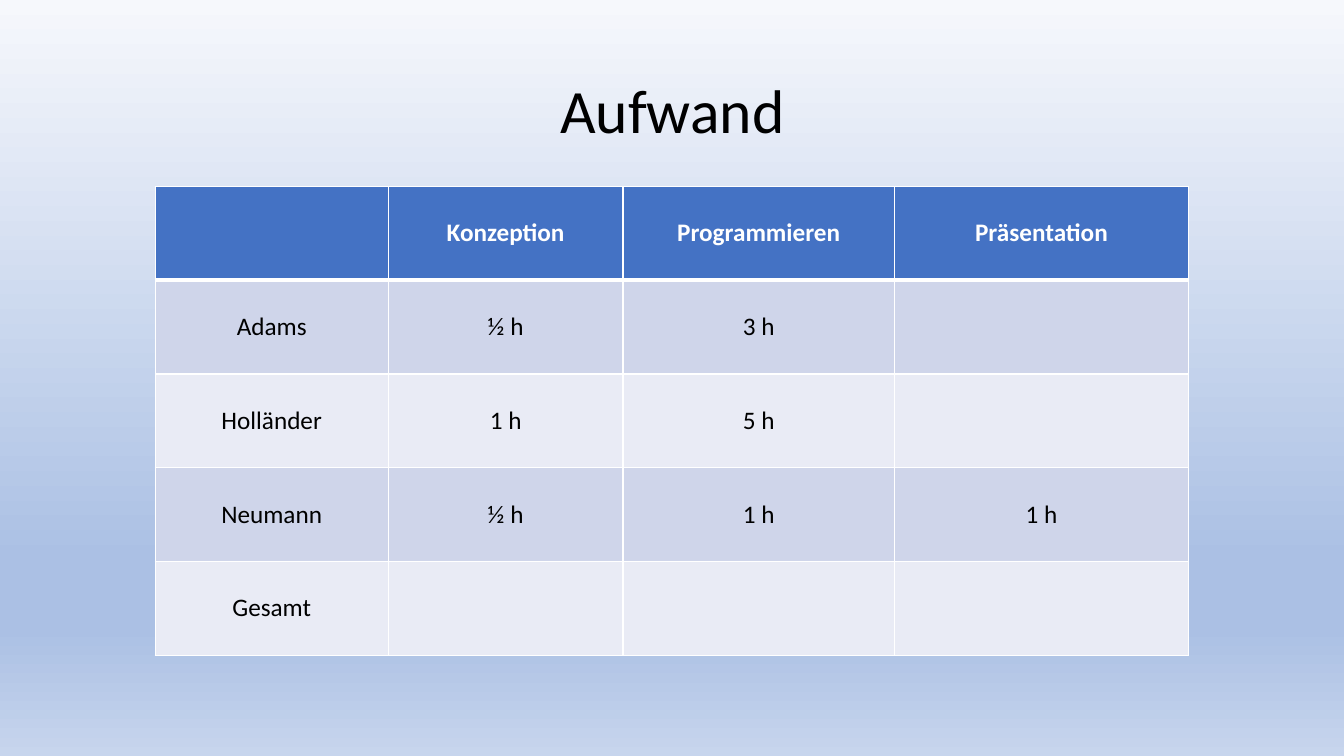
"""Build the slide that tabulates effort per person and task."""
from dataclasses import dataclass

from lxml.etree import SubElement
from pptx import Presentation
from pptx.dml.color import RGBColor
from pptx.enum.text import MSO_ANCHOR, PP_ALIGN
from pptx.oxml.ns import qn
from pptx.util import Inches, Pt

TITLE = "Aufwand"
ROWS = [
    ("", "Konzeption", "Programmieren", "Präsentation"),
    ("Adams", "½ h", "3 h", ""),
    ("Holländer", "1 h", "5 h", ""),
    ("Neumann", "½ h", "1 h", "1 h"),
    ("Gesamt", "", "", ""),
]
WIDTHS = (2.31, 2.33, 2.69, 2.92)
HEIGHT = 0.93


@dataclass(frozen=True)
class Theme:
    """Colours, font and type sizes."""
    font: str = "Calibri"
    title: int = 44
    body: int = 18
    dark: str = "000000"
    light: str = "FFFFFF"
    head: str = "4472C4"
    bands: tuple = ("CFD5EA", "E9EBF5")
    stops: tuple = ((0, "F6F8FC"), (74, "ABC0E4"), (83, "ABC0E4"), (100, "C7D5ED"))
    thin: int = 1
    thick: int = 3


THEME = Theme()


def style(para, size, color, bold=False):
    """Centre a paragraph and set its font."""
    para.alignment = PP_ALIGN.CENTER
    font = para.font
    font.name, font.size, font.bold = THEME.font, Pt(size), bold
    font.color.rgb = RGBColor.from_string(color)


def paint(slide):
    """Fill the background with a vertical gradient."""
    fill = slide.background.fill
    fill.gradient()
    fill.gradient_angle = 270
    stops = slide.element.find(".//" + qn("a:gsLst"))
    for stop in list(stops):
        stops.remove(stop)
    for place, color in THEME.stops:
        stop = SubElement(stops, qn("a:gs"), pos=str(place * 1000))
        SubElement(stop, qn("a:srgbClr"), val=color)


def border(cell, row):
    """Draw the four cell edges, thick below the header."""
    props = cell._tc.get_or_add_tcPr()
    thick = {"T": row == 1, "B": row == 0}
    for side in "LRTB":
        width = THEME.thick if thick.get(side) else THEME.thin
        line = SubElement(props, qn("a:ln" + side), w=str(Pt(width)))
        fill = SubElement(line, qn("a:solidFill"))
        SubElement(fill, qn("a:srgbClr"), val=THEME.light)


def add_grid(slide):
    """Add the effort table."""
    frame = slide.shapes.add_table(
        len(ROWS), len(WIDTHS), Inches(1.54), Inches(1.85),
        Inches(sum(WIDTHS)), Inches(HEIGHT * len(ROWS)))
    table = frame.table
    for column, width in zip(table.columns, WIDTHS):
        column.width = Inches(width)
    for row, texts in enumerate(ROWS):
        table.rows[row].height = Inches(HEIGHT)
        first = row == 0
        back = THEME.head if first else THEME.bands[(row - 1) % 2]
        for col, text in enumerate(texts):
            cell = table.cell(row, col)
            cell.text = text
            cell.vertical_anchor = MSO_ANCHOR.MIDDLE
            style(cell.text_frame.paragraphs[0], THEME.body,
                  THEME.light if first else THEME.dark, first)
            border(cell, row)
            cell.fill.solid()
            cell.fill.fore_color.rgb = RGBColor.from_string(back)


def main():
    """Create and save the slide."""
    deck = Presentation()
    deck.slide_width, deck.slide_height = Inches(13.33), Inches(7.5)
    slide = deck.slides.add_slide(deck.slide_layouts[5])
    paint(slide)
    title = slide.shapes.title
    title.left, title.top = Inches(0.92), Inches(0.4)
    title.width, title.height = Inches(11.5), Inches(1.45)
    title.text = TITLE
    title.text_frame.vertical_anchor = MSO_ANCHOR.MIDDLE
    para = title.text_frame.paragraphs[0]
    para.line_spacing = 0.9
    style(para, THEME.title, THEME.dark)
    add_grid(slide)
    deck.save("out.pptx")


if __name__ == "__main__":
    main()
